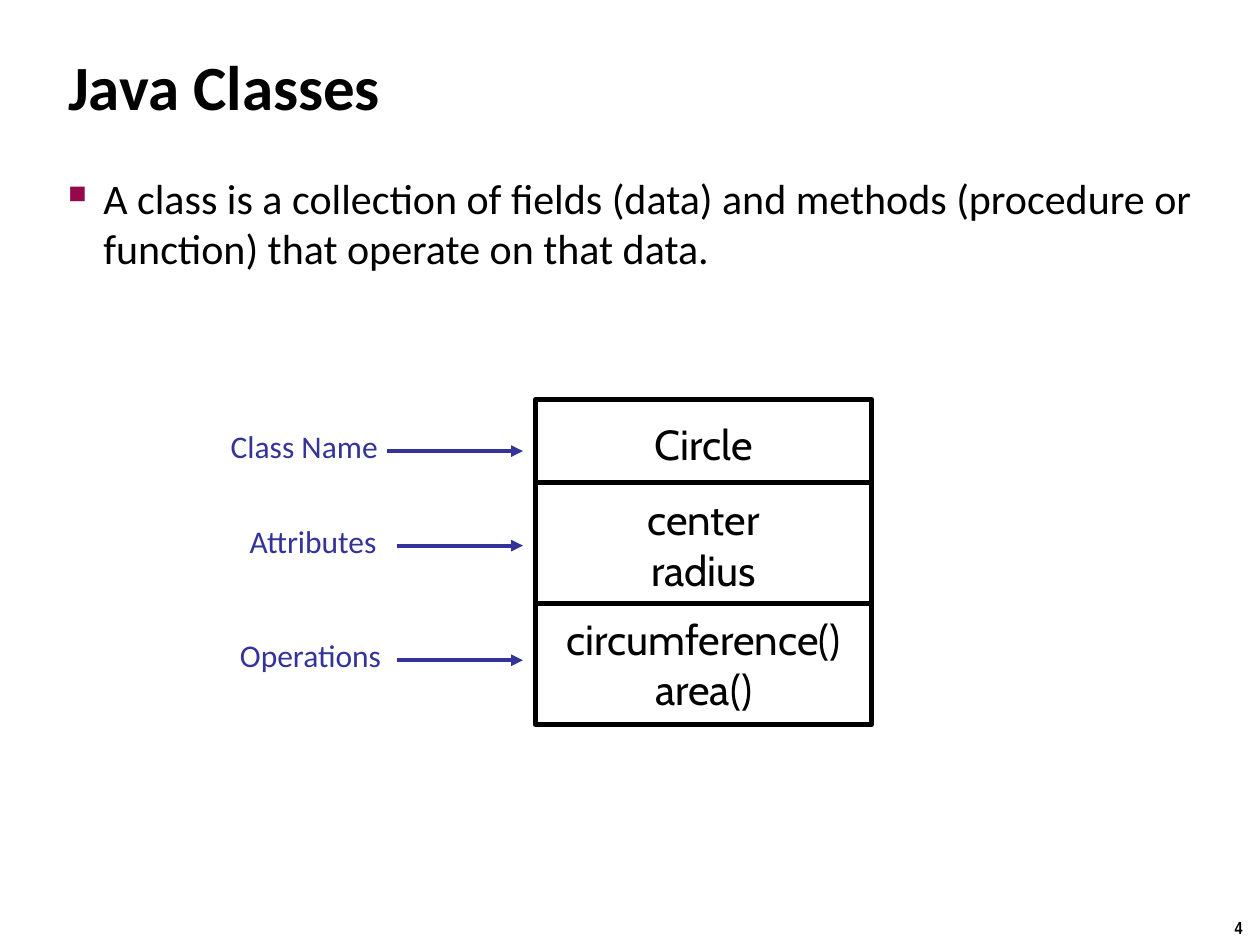
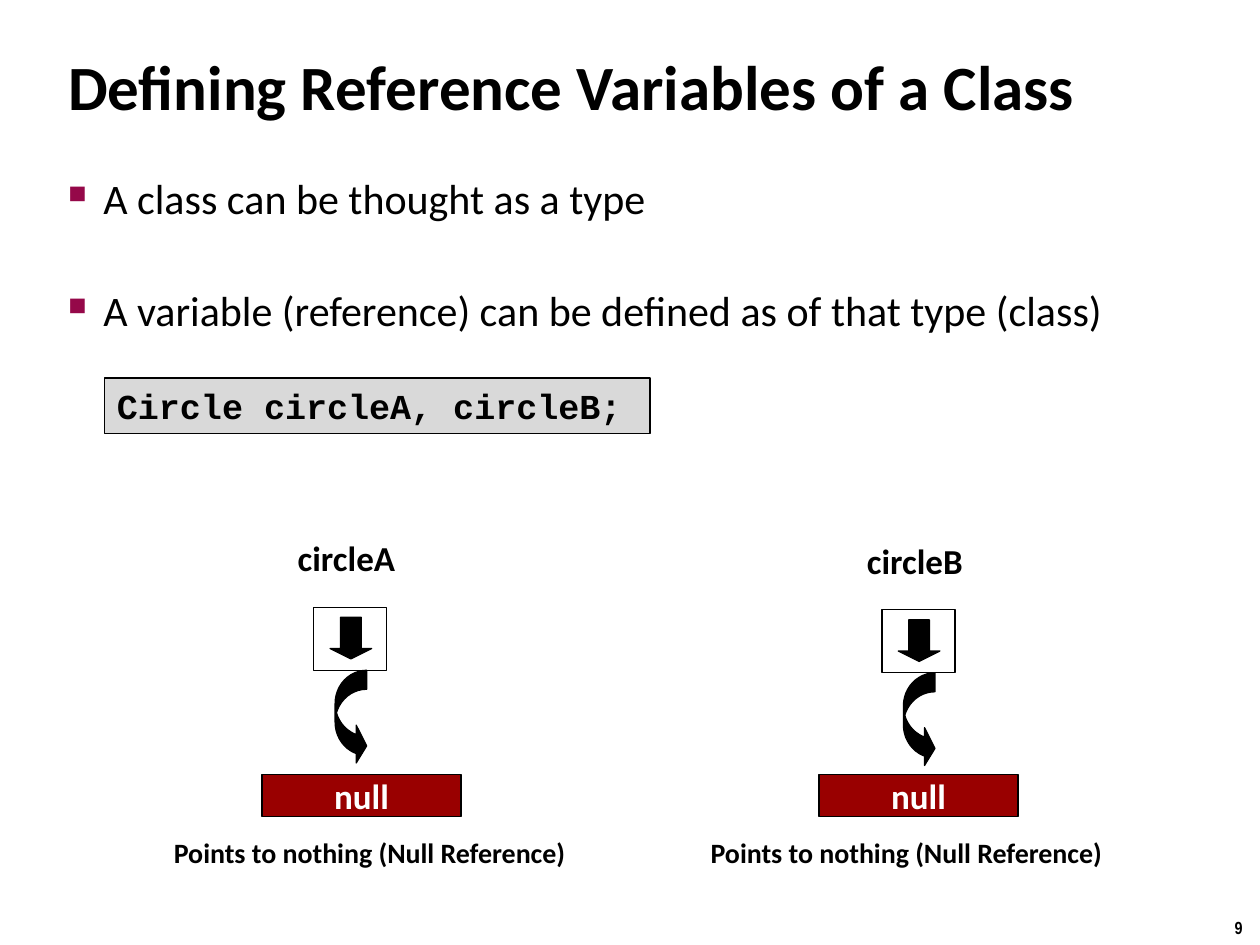
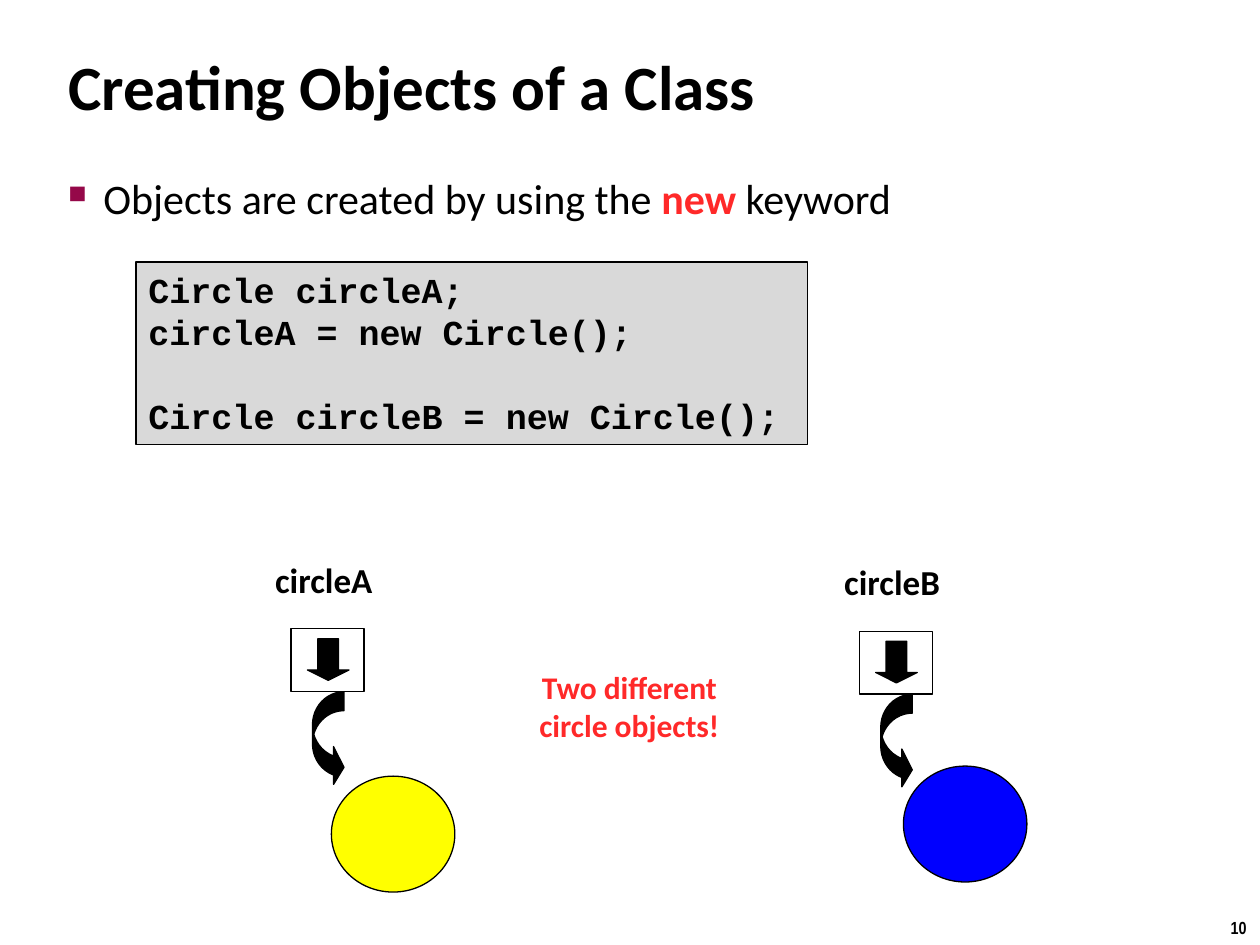
from dataclasses import dataclass
from typing import Optional, Sequence, Union

import pptx
import pptx.util
from lxml import etree
from pptx.dml.color import RGBColor
from pptx.enum.shapes import MSO_CONNECTOR, MSO_SHAPE
from pptx.enum.text import MSO_ANCHOR, PP_ALIGN
from pptx.oxml.ns import qn
from pptx.util import Inches


@dataclass(frozen=True)
class Theme:
    black: str = "000000"
    white: str = "FFFFFF"
    bullet: str = "950849"
    callout: str = "333399"
    code_fill: str = "D9D9D9"
    null_fill: str = "990000"
    accent: str = "FF2929"
    yellow: str = "FFFF00"
    blue: str = "0000FF"
    body_font: str = "Calibri"
    code_font: str = "Courier New"
    class_font: str = "Cabin"
    number_font: str = "Arial Narrow"
    title_size: int = 36
    body_size: int = 24
    label_size: int = 20
    note_size: int = 18
    caption_size: int = 16
    number_size: int = 10
    thin: float = 0.75
    arrow: float = 2.25
    thick: float = 3


THEME = Theme()


@dataclass(frozen=True)
class Area:
    left: float
    top: float
    width: float
    height: float

    def lengths(self) -> tuple:
        return tuple(Inches(v) for v in (self.left, self.top, self.width, self.height))


@dataclass(frozen=True)
class Span:
    text: str
    color: Optional[str] = None
    bold: Optional[bool] = None


@dataclass(frozen=True)
class Line:
    """A paragraph made of spans, with the gap above it in points."""
    spans: Sequence[Span]
    before: float = 0


@dataclass(frozen=True)
class Compartment:
    """One part of the class diagram with the callout that names it."""
    lines: Sequence[str]
    top: float
    height: float
    callout: str
    callout_left: float
    arrow_left: float
    arrow_top: float


@dataclass(frozen=True)
class Pointer:
    """A reference variable; left and top place its slot."""
    name: str
    left: float
    top: float


TITLE_AREA = Area(0.5, 0.08, 9.08, 1.19)
BODY_AREA = Area(0.5, 1.33, 9.08, 5.94)
NUMBER_AREA = Area(9.66, 7.23, 0.34, 0.27)
ARROW_END = 4.15
CLASS_LEFT, CLASS_WIDTH = 4.25, 2.67
BULLET_GAP = 35
CODE_PITCH = 24

COMPARTMENTS = (
    Compartment(("Circle",), 3.17, 0.7, "Class Name", 1.5, 3.07, 3.58),
    Compartment(("center", "radius"), 3.83, 0.98, "Attributes", 1.57, 3.15, 4.33),
    Compartment(("circumference()", "area()"), 4.79, 0.96, "Operations", 1.55, 3.15, 5.24),
)


def write(box, *lines: Union[str, Line], size: float, font: str = THEME.body_font,
          color: str = THEME.black, bold: bool = False, align=PP_ALIGN.LEFT,
          anchor=MSO_ANCHOR.TOP, wrap: bool = True, insets: tuple = (0.1, 0.05),
          bullets: bool = False, pitch: Optional[float] = None) -> None:
    frame = box.text_frame
    frame.word_wrap = wrap
    frame.vertical_anchor = anchor
    frame.margin_left = frame.margin_right = Inches(insets[0])
    frame.margin_top = frame.margin_bottom = Inches(insets[1])
    for index, item in enumerate(lines):
        line = Line((Span(item),)) if isinstance(item, str) else item
        para = frame.add_paragraph() if index else frame.paragraphs[0]
        para.alignment = align
        if line.before:
            para.space_before = pptx.util.Pt(line.before)
        if pitch:
            para.line_spacing = pptx.util.Pt(pitch)
        if bullets:
            add_bullet(para)
        for span in line.spans:
            run = para.add_run()
            run.text = span.text
            run.font.name = font
            run.font.size = pptx.util.Pt(size)
            run.font.bold = bold if span.bold is None else span.bold
            run.font.color.rgb = RGBColor.from_string(span.color or color)


def add_bullet(para) -> None:
    props = para._p.get_or_add_pPr()
    indent = Inches(0.28)
    props.set("marL", str(indent))
    props.set("indent", str(-indent))
    color = etree.SubElement(props, qn("a:buClr"))
    etree.SubElement(color, qn("a:srgbClr"), val=THEME.bullet)
    etree.SubElement(props, qn("a:buSzPct"), val="60000")
    etree.SubElement(props, qn("a:buChar"), char="■")


def add_box(page, area: Area, *lines: Union[str, Line], **style) -> None:
    write(page.shapes.add_textbox(*area.lengths()), *lines, **style)


def add_figure(page, kind, area: Area, fill: str, width: float = THEME.thin,
               adjustments: Sequence[float] = ()):
    shape = page.shapes.add_shape(kind, *area.lengths())
    shape.shadow.inherit = False
    shape.fill.solid()
    shape.fill.fore_color.rgb = RGBColor.from_string(fill)
    shape.line.color.rgb = RGBColor.from_string(THEME.black)
    shape.line.width = pptx.util.Pt(width)
    for index, value in enumerate(adjustments):
        shape.adjustments[index] = value
    return shape


def add_arrow(page, left: float, right: float, top: float) -> None:
    arrow = page.shapes.add_connector(
        MSO_CONNECTOR.STRAIGHT, Inches(left), Inches(top), Inches(right), Inches(top))
    arrow.line.color.rgb = RGBColor.from_string(THEME.callout)
    arrow.line.width = pptx.util.Pt(THEME.arrow)
    etree.SubElement(arrow.line._get_or_add_ln(), qn("a:tailEnd"), type="triangle")
    etree.SubElement(arrow._element.spPr, qn("a:effectLst"))


def add_code(page, area: Area, *lines: Union[str, Line]) -> None:
    panel = add_figure(page, MSO_SHAPE.RECTANGLE, area, THEME.code_fill)
    write(panel, *lines, size=THEME.label_size, font=THEME.code_font, bold=True,
          pitch=CODE_PITCH)


def add_compartment(page, part: Compartment) -> None:
    area = Area(CLASS_LEFT, part.top, CLASS_WIDTH, part.height)
    panel = add_figure(page, MSO_SHAPE.RECTANGLE, area, THEME.white, THEME.thick)
    write(panel, *part.lines, size=THEME.body_size, font=THEME.class_font,
          align=PP_ALIGN.CENTER, anchor=MSO_ANCHOR.MIDDLE, wrap=False)
    add_box(page, Area(part.callout_left, part.arrow_top - 0.25, 1.83, 0.42), part.callout,
            size=THEME.note_size, color=THEME.callout, align=PP_ALIGN.CENTER,
            insets=(0.12, 0.06))
    add_arrow(page, part.arrow_left, ARROW_END, part.arrow_top)


def add_pointer(page, pointer: Pointer) -> None:
    left, top = pointer.left, pointer.top
    add_box(page, Area(left - 0.23, top - 0.61, 0.98, 0.44), pointer.name,
            size=THEME.label_size, bold=True, align=PP_ALIGN.CENTER, wrap=False)
    add_figure(page, MSO_SHAPE.RECTANGLE, Area(left, top, 0.58, 0.5), THEME.white)
    add_figure(page, MSO_SHAPE.CURVED_RIGHT_ARROW, Area(left + 0.17, top + 0.5, 0.25, 0.75),
               THEME.black, adjustments=(0.6, 1.2, 0.33))
    add_figure(page, MSO_SHAPE.DOWN_ARROW, Area(left + 0.13, top + 0.08, 0.33, 0.33),
               THEME.black, adjustments=(0.5, 0.25))


def add_null(page, left: float, caption_left: float) -> None:
    panel = add_figure(page, MSO_SHAPE.RECTANGLE, Area(left, 6.15, 1.58, 0.33),
                       THEME.null_fill)
    write(panel, "null", size=THEME.label_size, color=THEME.white, bold=True,
          align=PP_ALIGN.CENTER, anchor=MSO_ANCHOR.MIDDLE, wrap=False)
    add_box(page, Area(caption_left, 6.58, 3.37, 0.37), "Points to nothing (Null Reference)",
            size=THEME.caption_size, bold=True, align=PP_ALIGN.CENTER, wrap=False)


def add_page(deck, number: int, title: str, *points: Union[str, Line]):
    """Add a slide with its number, title and bulleted points."""
    page = deck.slides.add_slide(deck.slide_layouts[6])
    add_box(page, NUMBER_AREA, str(number), size=THEME.number_size, font=THEME.number_font,
            bold=True, align=PP_ALIGN.CENTER, wrap=False)
    add_box(page, TITLE_AREA, title, size=THEME.title_size, bold=True,
            anchor=MSO_ANCHOR.MIDDLE, insets=(0.04, 0.04))
    add_box(page, BODY_AREA, *points, size=THEME.body_size, insets=(0.04, 0.04),
            bullets=True)
    return page


def build_classes(deck) -> None:
    page = add_page(deck, 4, "Java Classes",
                    "A class is a collection of fields (data) and methods "
                    "(procedure or function) that operate on that data.")
    for part in COMPARTMENTS:
        add_compartment(page, part)


def build_references(deck) -> None:
    page = add_page(
        deck, 9, "Defining Reference Variables of a Class",
        "A class can be thought as a type",
        Line((Span("A variable (reference) can be defined as of that type (class)"),),
             before=BULLET_GAP))
    add_code(page, Area(0.83, 3, 4.33, 0.44), "Circle circleA, circleB;")
    add_pointer(page, Pointer("circleA", 2.49, 4.82))
    add_pointer(page, Pointer("circleB", 7, 4.84))
    add_null(page, 2.08, 1.25)
    add_null(page, 6.5, 5.51)


def build_objects(deck) -> None:
    page = add_page(
        deck, 10, "Creating Objects of a Class",
        Line((Span("Objects are created by using the "),
              Span("new", THEME.accent, True), Span(" keyword"))))
    add_code(page, Area(1.08, 2.08, 5.33, 1.45),
             "Circle circleA;", "circleA = new Circle();",
             Line((Span("Circle circleB = new Circle();"),), before=CODE_PITCH))
    add_pointer(page, Pointer("circleA", 2.31, 4.99))
    add_pointer(page, Pointer("circleB", 6.82, 5.01))
    add_figure(page, MSO_SHAPE.OVAL, Area(2.63, 6.16, 0.98, 0.92), THEME.yellow)
    add_figure(page, MSO_SHAPE.OVAL, Area(7.17, 6.08, 0.98, 0.92), THEME.blue)
    add_box(page, Area(4.17, 5.25, 1.65, 0.71), "Two different", "circle objects!",
            size=THEME.note_size, color=THEME.accent, bold=True,
            align=PP_ALIGN.CENTER, wrap=False)


def main() -> None:
    deck = pptx.Presentation()
    deck.slide_width, deck.slide_height = Inches(10), Inches(7.5)
    build_classes(deck)
    build_references(deck)
    build_objects(deck)
    deck.save("out.pptx")


if __name__ == "__main__":
    main()
